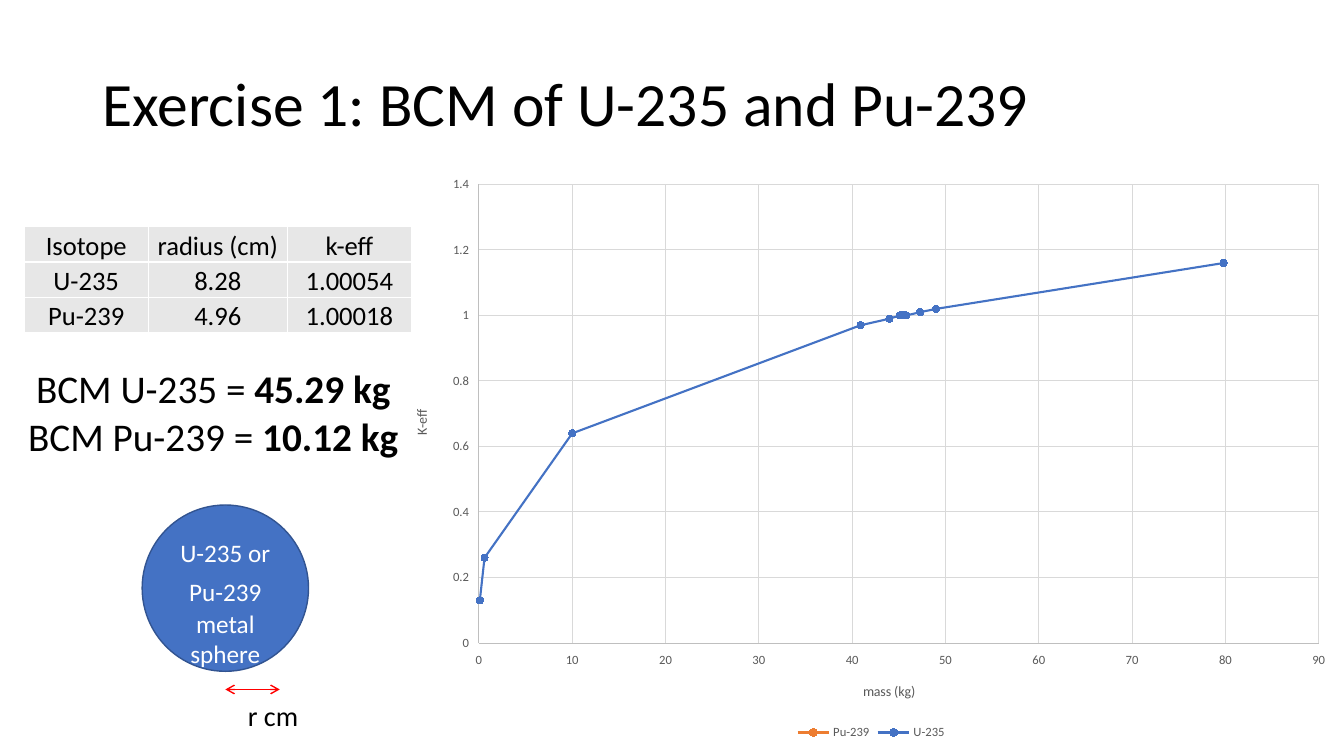
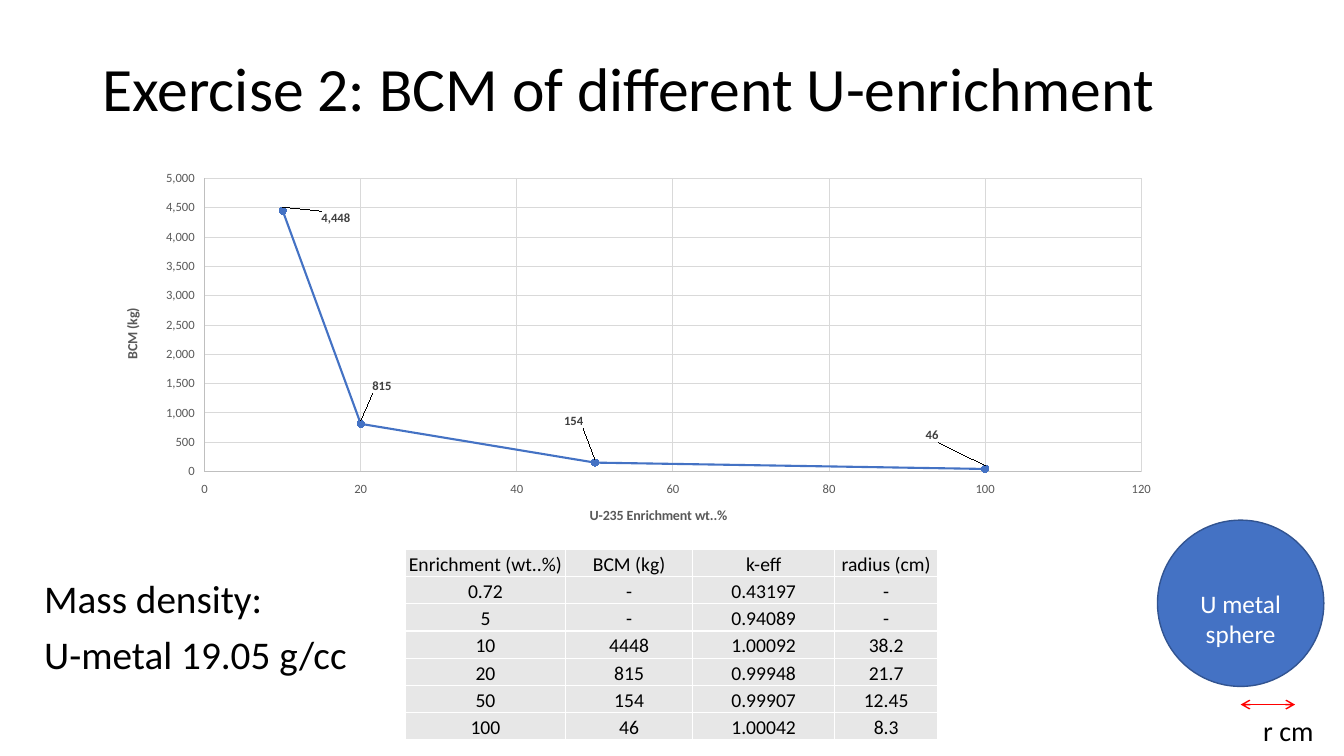
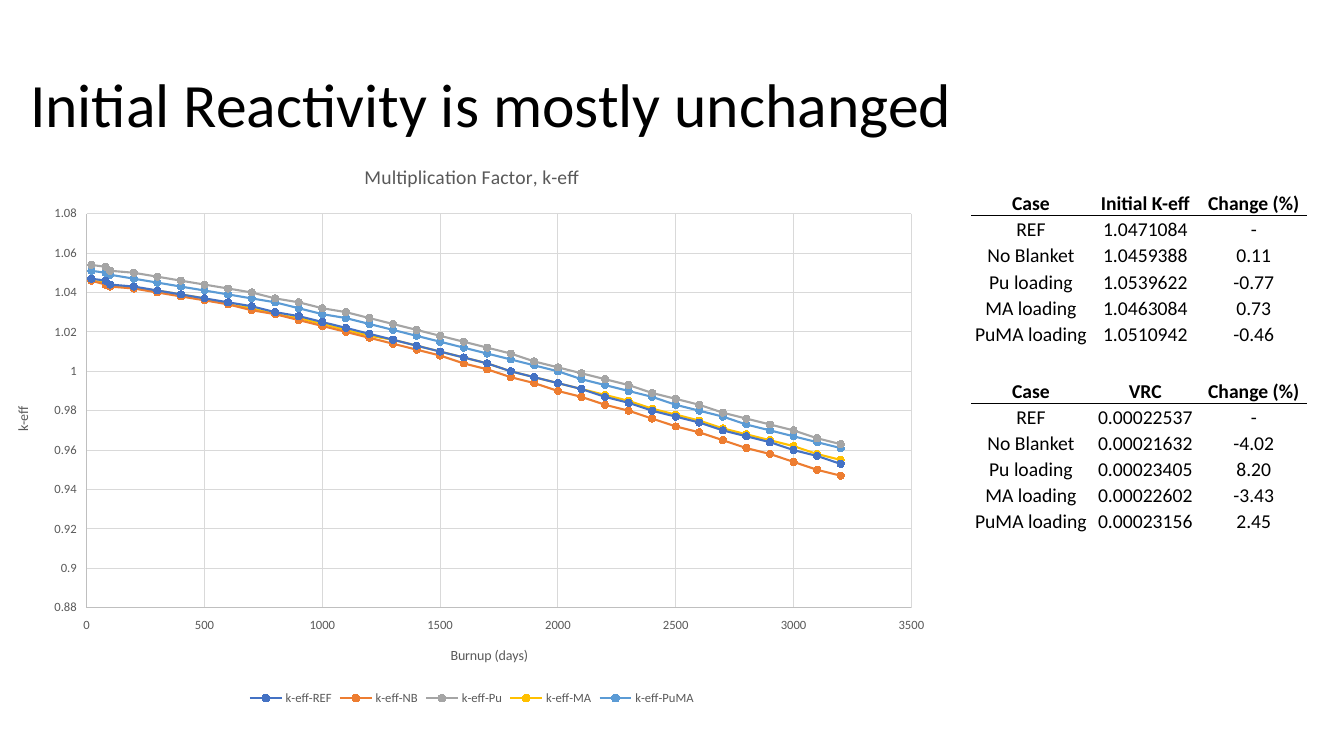
import dataclasses
import pptx
import pptx.chart.data
import pptx.dml.color
import pptx.enum.chart
import pptx.enum.shapes
import pptx.enum.text
import pptx.oxml
import pptx.oxml.ns
import pptx.util
from lxml import etree

Inches, Pt = pptx.util.Inches, pptx.util.Pt
qn = pptx.oxml.ns.qn
XL = pptx.enum.chart
ALIGN = pptx.enum.text.PP_ALIGN
ANCHOR = pptx.enum.text.MSO_ANCHOR


@dataclasses.dataclass(frozen=True)
class Theme:
    font: str = "Calibri"
    text: str = "000000"
    white: str = "FFFFFF"
    cell: str = "E7E7E7"
    arrow: str = "FF0000"
    outline: str = "325491"
    blue: str = "4472C4"
    orange: str = "ED7D31"
    gray: str = "A5A5A5"
    gold: str = "FFC000"
    sky: str = "5B9BD5"
    chart_text: str = "595959"
    label_text: str = "404040"
    axis: str = "BFBFBF"
    grid: str = "D9D9D9"
    title_size: int = 44
    body_size: int = 28
    note_size: int = 20
    large_cell: int = 19
    sphere_size: int = 18
    small_cell: int = 14
    chart_title: int = 14
    axis_title: int = 10
    tick_size: int = 9


T = Theme()


def rgb(color):
    return pptx.dml.color.RGBColor.from_string(color)


def set_font(font, size, color=T.text, bold=False):
    font.name, font.size, font.bold = T.font, Pt(size), bold
    font.color.rgb = rgb(color)


def set_line(line, color, width):
    line.color.rgb = rgb(color)
    line.width = Pt(width)


# Text
def add_text(s, box, lines, size, align=ALIGN.LEFT, anchor=ANCHOR.TOP,
             spacing=1.0, before=0, wrap=True):
    """Each line is a list of (text, bold) runs."""
    tf = s.shapes.add_textbox(*map(Inches, box)).text_frame
    tf.word_wrap, tf.vertical_anchor = wrap, anchor
    for i, runs in enumerate(lines):
        p = tf.add_paragraph() if i else tf.paragraphs[0]
        p.alignment, p.line_spacing = align, spacing
        p.space_before = Pt(before if i else 0)
        for text, bold in runs:
            r = p.add_run()
            r.text = text
            set_font(r.font, size, bold=bold)


def add_title(s, left, top, text):
    add_text(s, (left, top, 11.5, 1.45), [[(text, False)]], T.title_size,
             anchor=ANCHOR.MIDDLE, spacing=0.9)


# Sphere with its radius arrow
def add_sphere(s, left, top, lines):
    """Each line is a list of (text, size) runs."""
    d = 1.65
    sp = s.shapes.add_shape(pptx.enum.shapes.MSO_SHAPE.OVAL,
                            *map(Inches, (left, top, d, d)))
    sp.shadow.inherit = False
    sp.fill.solid()
    sp.fill.fore_color.rgb = rgb(T.blue)
    set_line(sp.line, T.outline, 1)
    tf = sp.text_frame
    tf.word_wrap, tf.vertical_anchor = True, ANCHOR.MIDDLE
    tf.margin_top = Inches(0.35)
    for i, runs in enumerate(lines):
        p = tf.add_paragraph() if i else tf.paragraphs[0]
        p.alignment = ALIGN.CENTER
        for text, size in runs:
            r = p.add_run()
            r.text = text
            set_font(r.font, size, T.white)

    x, y = left + d / 2, top + 1.83
    arrow = s.shapes.add_connector(pptx.enum.shapes.MSO_CONNECTOR.STRAIGHT,
                                   *map(Inches, (x, y, x + 0.54, y)))
    set_line(arrow.line, T.arrow, 1)
    ln = arrow.line._get_or_add_ln()
    for end in ("a:headEnd", "a:tailEnd"):
        etree.SubElement(ln, qn(end), type="arrow")
    etree.SubElement(arrow._element.spPr, qn("a:effectLst"))
    add_text(s, (left + 0.95, top + 1.87, 0.71, 0.44), [[("r cm", False)]],
             T.note_size, wrap=False)


# Tables
def set_border(cell, sides, color):
    tc_pr = cell._tc.get_or_add_tcPr()
    for i, side in enumerate(sides):
        ln = pptx.oxml.parse_xml(
            '<a:%s xmlns:a="http://schemas.openxmlformats.org/drawingml/2006/main" '
            'w="12700"><a:solidFill><a:srgbClr val="%s"/></a:solidFill></a:%s>'
            % (side, color, side))
        tc_pr.insert(i, ln)


def add_table(s, left, top, widths, row_height, rows, size, inset=0.01, ruled=False):
    """A gray grid, or a white table with a rule under its bold header."""
    table = s.shapes.add_table(
        len(rows), len(widths),
        *map(Inches, (left, top, sum(widths), row_height * len(rows)))).table
    table.first_row = table.horz_banding = False
    for col, width in zip(table.columns, widths):
        col.width = Inches(width)
    for i, row in enumerate(rows):
        table.rows[i].height = Inches(row_height)
        for j, text in enumerate(row):
            cell = table.cell(i, j)
            cell.margin_left = cell.margin_right = cell.margin_top = Inches(inset)
            cell.margin_bottom = 0
            cell.vertical_anchor = ANCHOR.BOTTOM
            cell.fill.solid()
            cell.fill.fore_color.rgb = rgb(T.white if ruled else T.cell)
            cell.text = text
            p = cell.text_frame.paragraphs[0]
            p.alignment = ALIGN.CENTER
            set_font(p.runs[0].font, size, bold=ruled and i == 0)
            if not ruled:
                set_border(cell, ("lnL", "lnR", "lnT", "lnB"), T.white)
            elif i < 2:
                set_border(cell, ("lnT",) if i else ("lnB",), T.text)


# Charts
def style_axis(axis, title, scale, bold):
    axis.minimum_scale, axis.maximum_scale, axis.major_unit = scale
    axis.has_major_gridlines = True
    set_line(axis.major_gridlines.format.line, T.grid, 0.75)
    set_line(axis.format.line, T.axis, 0.75)
    axis.major_tick_mark = axis.minor_tick_mark = XL.XL_TICK_MARK.NONE
    axis.tick_label_position = XL.XL_TICK_LABEL_POSITION.LOW
    set_font(axis.tick_labels.font, T.tick_size, T.chart_text)
    tf = axis.axis_title.text_frame
    tf.text = title
    set_font(tf.paragraphs[0].runs[0].font, T.axis_title, T.chart_text, bold)


def manual_layout(**values):
    layout = etree.Element(qn("c:layout"))
    manual = etree.SubElement(layout, qn("c:manualLayout"))
    for tag, value in values.items():
        etree.SubElement(manual, qn("c:" + tag), val=str(value))
    return layout


def set_plot_box(chart, box, plot):
    left, top, width, height = box
    area = chart._chartSpace.chart.plotArea
    for old in area.findall(qn("c:layout")):
        area.remove(old)
    area.insert(0, manual_layout(
        layoutTarget="inner", xMode="edge", yMode="edge",
        x=(plot[0] - left) / width, y=(plot[1] - top) / height,
        w=plot[2] / width, h=plot[3] / height))


def add_scatter(s, box, plot, series, x_title, y_title, x_scale, y_scale,
                title=None, legend=True, smooth=False, bold=False, fmt="General"):
    """Each series is (name, color, x values, y values)."""
    data = pptx.chart.data.XyChartData(number_format=fmt)
    for name, _, xs, ys in series:
        ser = data.add_series(name)
        for x, y in zip(xs, ys):
            ser.add_data_point(x, y)
    kind = XL.XL_CHART_TYPE.XY_SCATTER_SMOOTH if smooth else XL.XL_CHART_TYPE.XY_SCATTER_LINES
    chart = s.shapes.add_chart(kind, *map(Inches, box), data).chart
    set_font(chart.font, T.axis_title)
    chart.has_title = title is not None
    if title:
        tf = chart.chart_title.text_frame
        tf.text = title
        set_font(tf.paragraphs[0].runs[0].font, T.chart_title, T.chart_text)
    chart.has_legend = legend
    if legend:
        chart.legend.position = XL.XL_LEGEND_POSITION.BOTTOM
        chart.legend.include_in_layout = False
        set_font(chart.legend.font, T.tick_size, T.chart_text)
    style_axis(chart.category_axis, x_title, x_scale, bold)
    style_axis(chart.value_axis, y_title, y_scale, bold)
    labels = chart.value_axis.tick_labels
    labels.number_format, labels.number_format_is_linked = fmt, False
    chart.plots[0].vary_by_categories = False
    for ser, (_, color, _, _) in zip(chart.plots[0].series, series):
        ser.smooth = smooth
        set_line(ser.format.line, color, 1.5)
        ser.marker.style, ser.marker.size = XL.XL_MARKER_STYLE.CIRCLE, 5
        ser.marker.format.fill.solid()
        ser.marker.format.fill.fore_color.rgb = rgb(color)
        set_line(ser.marker.format.line, color, 0.75)
    set_plot_box(chart, box, plot)
    return chart


def label_points(ser, offsets):
    for i, (dx, dy) in enumerate(offsets):
        label = ser.points[i].data_label
        label.position = XL.XL_LABEL_POSITION.ABOVE
        set_font(label.font, T.tick_size, T.label_text, True)
        idx = label._dLbl.find(qn("c:idx"))
        idx.addnext(manual_layout(x=dx, y=dy))


# Slides
def build_isotopes(s):
    add_title(s, 0.92, 0.33, "Exercise 1: BCM of U-235 and Pu-239")
    add_sphere(s, 1.41, 5.01, [
        [("U-235 or", T.sphere_size)],
        [("Pu-239", T.sphere_size), (" ", 24), ("metal sphere", T.sphere_size)]])
    series = [
        ("Pu-239", T.orange, [0, 10, 10, 10, 10, 10, 10, 11, 28, 83],
         [0.22, 0.99, 1, 1, 1, 1, 1, 1.02, 1.32, 1.7]),
        ("U-235", T.blue,
         [0.1, 0.6, 10, 40.9, 44, 45.1, 45.2, 45.3, 45.4, 45.6, 45.8, 47.3, 49, 79.8],
         [0.13, 0.26, 0.64, 0.97, 0.99, 1, 1, 1, 1, 1, 1, 1.01, 1.02, 1.16])]
    add_scatter(s, (3.95, 1.64, 9.38, 5.74), (4.75, 1.83, 8.33, 4.55), series,
                "mass (kg)", "K-eff", (0, 90, 10), (0, 1.4, 0.2))
    add_table(s, 0.24, 2.25, (1.23, 1.38, 1.23), 0.35, [
        ("Isotope", "radius (cm)", "k-eff"),
        ("U-235", "8.28", "1.00054"),
        ("Pu-239", "4.96", "1.00018")], T.large_cell)
    add_text(s, (0.15, 3.57, 3.93, 1.04), [
        [("BCM U-235 = ", False), ("45.29 kg", True)],
        [("BCM Pu-239 = ", False), ("10.12 kg", True)]], T.body_size, ALIGN.CENTER)


def build_enrichment(s):
    add_title(s, 0.92, 0.18, "Exercise 2: BCM of different U-enrichment")
    series = [("Series 1", T.blue, [10, 20, 50, 100], [4448, 815, 154, 46])]
    chart = add_scatter(s, (1.08, 1.63, 10.55, 3.74), (2.03, 1.77, 9.29, 2.91), series,
                        "U-235 Enrichment wt..%", "BCM (kg)", (0, 120, 20), (0, 5000, 500),
                        legend=False, smooth=True, bold=True, fmt="#,##0")
    label_points(chart.plots[0].series[0],
                 [(0.05, 0.06), (0.02, -0.06), (-0.02, -0.07), (-0.05, -0.05)])
    add_table(s, 4.02, 5.45, (1.59, 1.26, 1.41, 1.02), 0.27, [
        ("Enrichment (wt..%)", "BCM (kg)", "k-eff", "radius (cm)"),
        ("0.72", "-", "0.43197", "-"),
        ("5", "-", "0.94089", "-"),
        ("10", "4448", "1.00092", "38.2"),
        ("20", "815", "0.99948", "21.7"),
        ("50", "154", "0.99907", "12.45"),
        ("100", "46", "1.00042", "8.3")], T.small_cell, inset=0)
    add_text(s, (0.34, 5.7, 3.39, 1.8),
             [[("Mass density:", False)], [("U-metal 19.05 g/cc", False)]],
             T.body_size, spacing=0.9, before=10)
    add_sphere(s, 11.48, 5.16, [[("U metal sphere", T.sphere_size)]])


def build_reactivity(s):
    add_title(s, 0.2, 0.34, "Initial Reactivity is mostly unchanged")
    days = [20, 80] + list(range(100, 3201, 100))
    k_eff = [
        ("k-eff-REF", T.blue, [
            1.047, 1.046, 1.044, 1.043, 1.041, 1.039, 1.037, 1.035, 1.033, 1.03, 1.028, 1.025,
            1.022, 1.019, 1.016, 1.013, 1.01, 1.007, 1.004, 1, 0.997, 0.994, 0.991, 0.987,
            0.984, 0.98, 0.977, 0.974, 0.97, 0.967, 0.964, 0.96, 0.957, 0.953]),
        ("k-eff-NB", T.orange, [
            1.046, 1.044, 1.043, 1.042, 1.04, 1.038, 1.036, 1.034, 1.031, 1.029, 1.026, 1.023,
            1.02, 1.017, 1.014, 1.011, 1.008, 1.004, 1.001, 0.997, 0.994, 0.99, 0.987, 0.983,
            0.98, 0.976, 0.972, 0.969, 0.965, 0.961, 0.958, 0.954, 0.95, 0.947]),
        ("k-eff-Pu", T.gray, [
            1.054, 1.053, 1.051, 1.05, 1.048, 1.046, 1.044, 1.042, 1.04, 1.037, 1.035, 1.032,
            1.03, 1.027, 1.024, 1.021, 1.018, 1.015, 1.012, 1.009, 1.005, 1.002, 0.999, 0.996,
            0.993, 0.989, 0.986, 0.983, 0.979, 0.976, 0.973, 0.97, 0.966, 0.963]),
        ("k-eff-MA", T.gold, [
            1.046, 1.045, 1.044, 1.042, 1.041, 1.039, 1.037, 1.034, 1.032, 1.029, 1.027, 1.024,
            1.021, 1.018, 1.016, 1.013, 1.01, 1.007, 1.004, 1, 0.997, 0.994, 0.991, 0.988,
            0.985, 0.981, 0.978, 0.975, 0.971, 0.968, 0.965, 0.962, 0.958, 0.955]),
        ("k-eff-PuMA", T.sky, [
            1.051, 1.05, 1.049, 1.047, 1.045, 1.043, 1.041, 1.039, 1.037, 1.035, 1.032, 1.029,
            1.027, 1.024, 1.021, 1.018, 1.015, 1.012, 1.009, 1.006, 1.003, 1, 0.996, 0.993,
            0.99, 0.987, 0.983, 0.98, 0.977, 0.973, 0.97, 0.967, 0.964, 0.961])]
    series = [(name, color, days, ys) for name, color, ys in k_eff]
    add_scatter(s, (0, 1.42, 9.36, 5.62), (0.86, 2.12, 8.18, 3.91), series,
                "Burnup (days)", "k-eff", (0, 3500, 500), (0.88, 1.08, 0.02),
                title="Multiplication Factor, k-eff")

    cases = ("REF", "No Blanket", "Pu loading", "MA loading", "PuMA loading")
    results = [
        ("Initial K-eff", ("1.0471084", "1.0459388", "1.0539622", "1.0463084", "1.0510942"),
         ("-", "0.11", "-0.77", "0.73", "-0.46")),
        ("VRC", ("0.00022537", "0.00021632", "0.00023405", "0.00022602", "0.00023156"),
         ("-", "-4.02", "8.20", "-3.43", "2.45"))]
    for i, (name, values, changes) in enumerate(results):
        rows = [("Case", name, "Change (%)"), *zip(cases, values, changes)]
        add_table(s, 9.64, 1.88 + 1.86 * i, (1.17, 1.1, 1.05), 0.26, rows,
                  T.small_cell, ruled=True)


def main():
    prs = pptx.Presentation()
    prs.slide_width, prs.slide_height = Inches(13.33), Inches(7.5)
    for build in (build_isotopes, build_enrichment, build_reactivity):
        build(prs.slides.add_slide(prs.slide_layouts[6]))
    prs.save("out.pptx")


if __name__ == "__main__":
    main()
